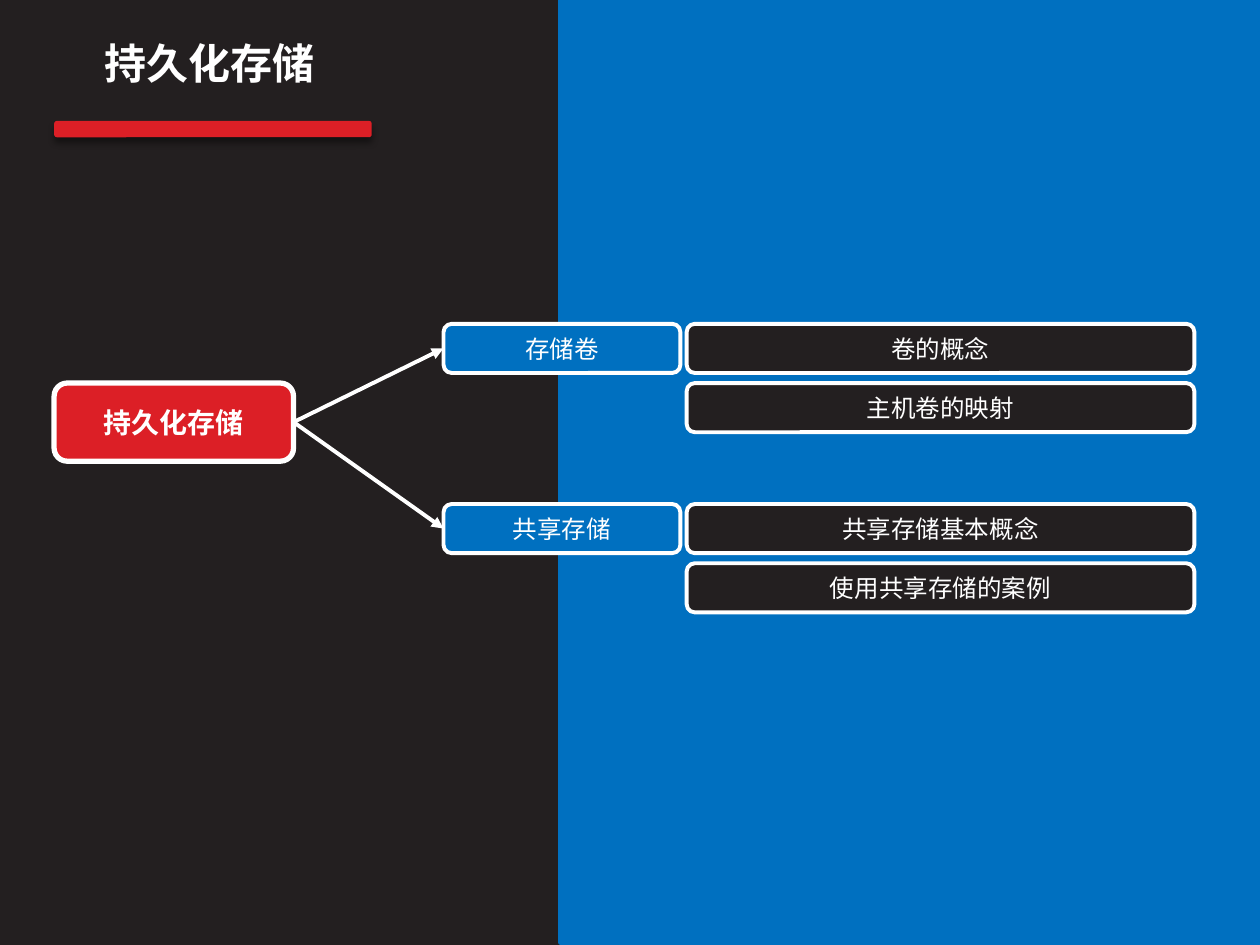
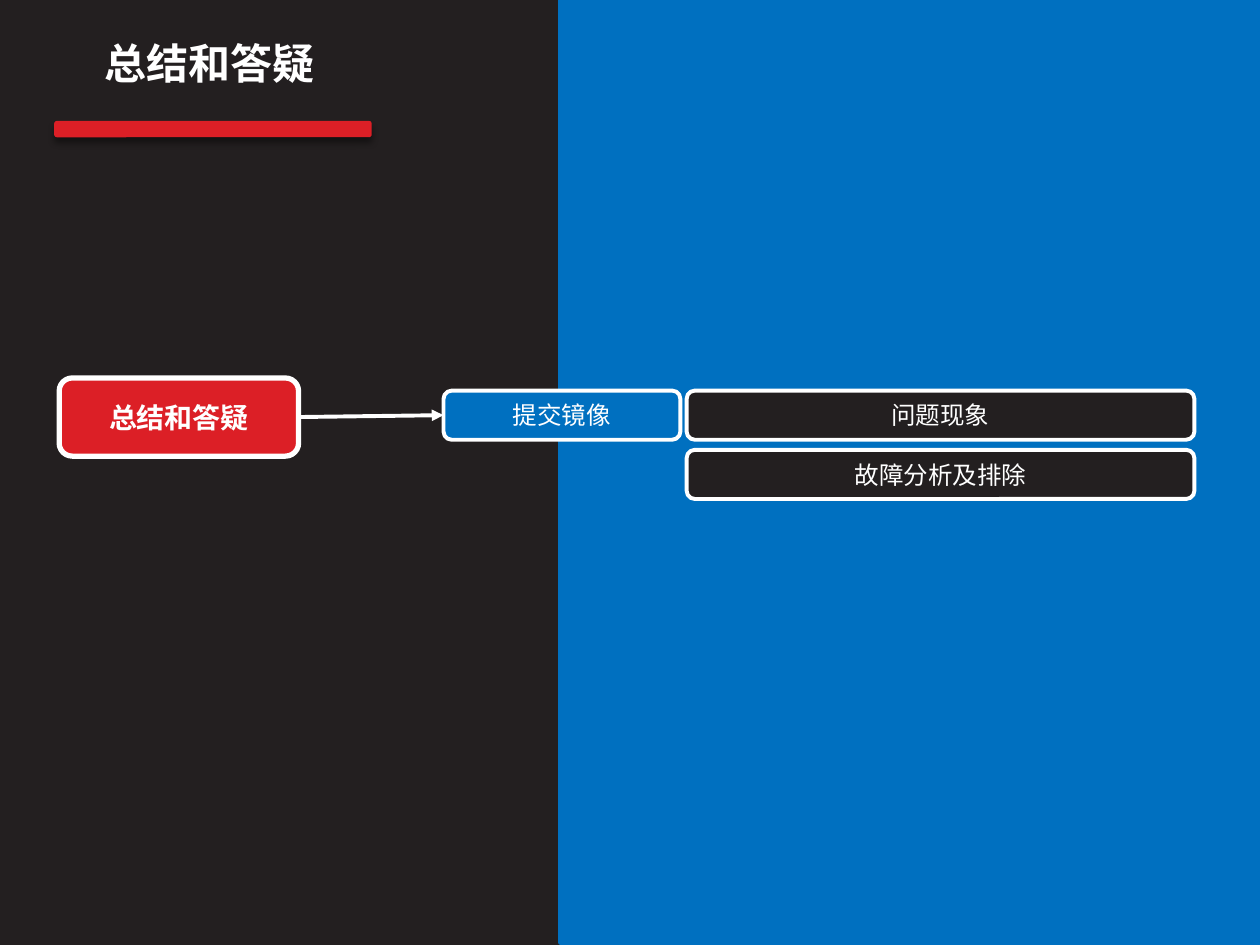
from pptx import Presentation
from pptx.dml.color import RGBColor
from pptx.enum.shapes import MSO_CONNECTOR, MSO_SHAPE
from pptx.enum.text import MSO_ANCHOR, PP_ALIGN
from pptx.oxml import parse_xml
from pptx.oxml.ns import nsdecls, qn
from pptx.util import Inches, Pt

RECT, ROUNDED = MSO_SHAPE.RECTANGLE, MSO_SHAPE.ROUNDED_RECTANGLE
STRAIGHT = MSO_CONNECTOR.STRAIGHT
MIDDLE, CENTER = MSO_ANCHOR.MIDDLE, PP_ALIGN.CENTER
LEFT_SIDE, RIGHT_SIDE = 1, 3

COLORS = {"dark": "231F20", "blue": "0070C0", "red": "DC1F26", "white": "FFFFFF"}
RGB = {name: RGBColor.from_string(value) for name, value in COLORS.items()}
FONT = "Noto Sans CJK SC"

# Grid in inches: root, topic and detail columns as (left, width)
SLIDE_W, SLIDE_H = 10, 7.5
PANEL_LEFT = 0.445 * SLIDE_W
ROOT_W, ROOT_H = 1.9, 0.62
TOPIC_COL = (3.52, 1.88)
DETAIL_COL = (5.45, 4.03)
ROW_H, ROW_STEP = 0.39, 0.47

# Each slide: title, root position, topics as (top, name, details)
SLIDES = [
    ("持久化存储", (0.43, 3.04), [
        (2.57, "存储卷", ["卷的概念", "主机卷的映射"]),
        (4.0, "共享存储", ["共享存储基本概念", "使用共享存储的案例"]),
    ]),
    ("总结和答疑", (0.47, 3.0), [
        (3.1, "提交镜像", ["问题现象", "故障分析及排除"]),
    ]),
]


def write(shape, text, size, bold=False):
    shape.text_frame.word_wrap = True
    line = shape.text_frame.paragraphs[0]
    line.text = text
    line.alignment = CENTER
    line.font.size, line.font.bold = Pt(size), bold
    line.font.color.rgb = RGB["white"]
    line.font.name = FONT
    east_asian = parse_xml(f'<a:ea {nsdecls("a")} typeface="{FONT}"/>')
    line._p.pPr.find(qn("a:defRPr")).append(east_asian)


def add_box(shapes, kind, place, fill, line=None, width=2.25, text="", size=14, bold=False):
    box = shapes.add_shape(kind, *map(Inches, place))
    box.shadow.inherit = False
    box.fill.solid()
    box.fill.fore_color.rgb = RGB[fill]
    if line:
        box.line.color.rgb = RGB[line]
        box.line.width = Pt(width)
    else:
        box.line.fill.background()
    if text:
        box.text_frame.vertical_anchor = MIDDLE
        write(box, text, size, bold)
    return box


prs = Presentation()
prs.slide_width, prs.slide_height = Inches(SLIDE_W), Inches(SLIDE_H)
backdrop = prs.slide_master.background.fill
backdrop.solid()
backdrop.fore_color.rgb = RGB["dark"]

for title, root_at, topics in SLIDES:
    slide = prs.slides.add_slide(prs.slide_layouts[6])
    shapes = slide.shapes

    # Blue panel
    add_box(shapes, RECT, (PANEL_LEFT, 0, SLIDE_W - PANEL_LEFT, 7.48), "blue", "blue", 3)

    # Title with its shadowed underline
    header = shapes.add_group_shape().shapes
    heading = header.add_textbox(*map(Inches, (0.28, 0.3, 2.77, 0.71)))
    heading.text_frame.margin_top = 0
    write(heading, title, 24, True)
    underline = add_box(header, ROUNDED, (0.43, 0.96, 2.52, 0.13), "red")
    underline._element.spPr.find(qn("a:effectLst")).append(parse_xml(
        f'<a:outerShdw {nsdecls("a")} blurRad="{Pt(4)}" dist="{Pt(3)}" dir="5400000" '
        'rotWithShape="0"><a:srgbClr val="000000"><a:alpha val="43000"/></a:srgbClr>'
        '</a:outerShdw>'))

    # Root of the outline
    root = add_box(shapes, ROUNDED, (*root_at, ROOT_W, ROOT_H), "red", "white", 3, title, 16, True)

    for top, name, details in topics:
        # Topic and its details
        topic = add_box(shapes, ROUNDED, (TOPIC_COL[0], top, TOPIC_COL[1], ROW_H),
                        "blue", "white", text=name)
        for row, detail in enumerate(details):
            add_box(shapes, ROUNDED, (DETAIL_COL[0], top + row * ROW_STEP, DETAIL_COL[1], ROW_H),
                    "dark", "white", text=detail)

        # Arrow from root to topic
        arrow = shapes.add_connector(STRAIGHT, 0, 0, 0, 0)
        arrow.begin_connect(root, RIGHT_SIDE)
        arrow.end_connect(topic, LEFT_SIDE)
        arrow.line.color.rgb = RGB["white"]
        arrow.line.width = Pt(2.25)
        arrow.line._get_or_add_ln().append(
            parse_xml(f'<a:tailEnd {nsdecls("a")} type="triangle"/>'))
        arrow._element.spPr.append(parse_xml(f'<a:effectLst {nsdecls("a")}/>'))

prs.save("out.pptx")
